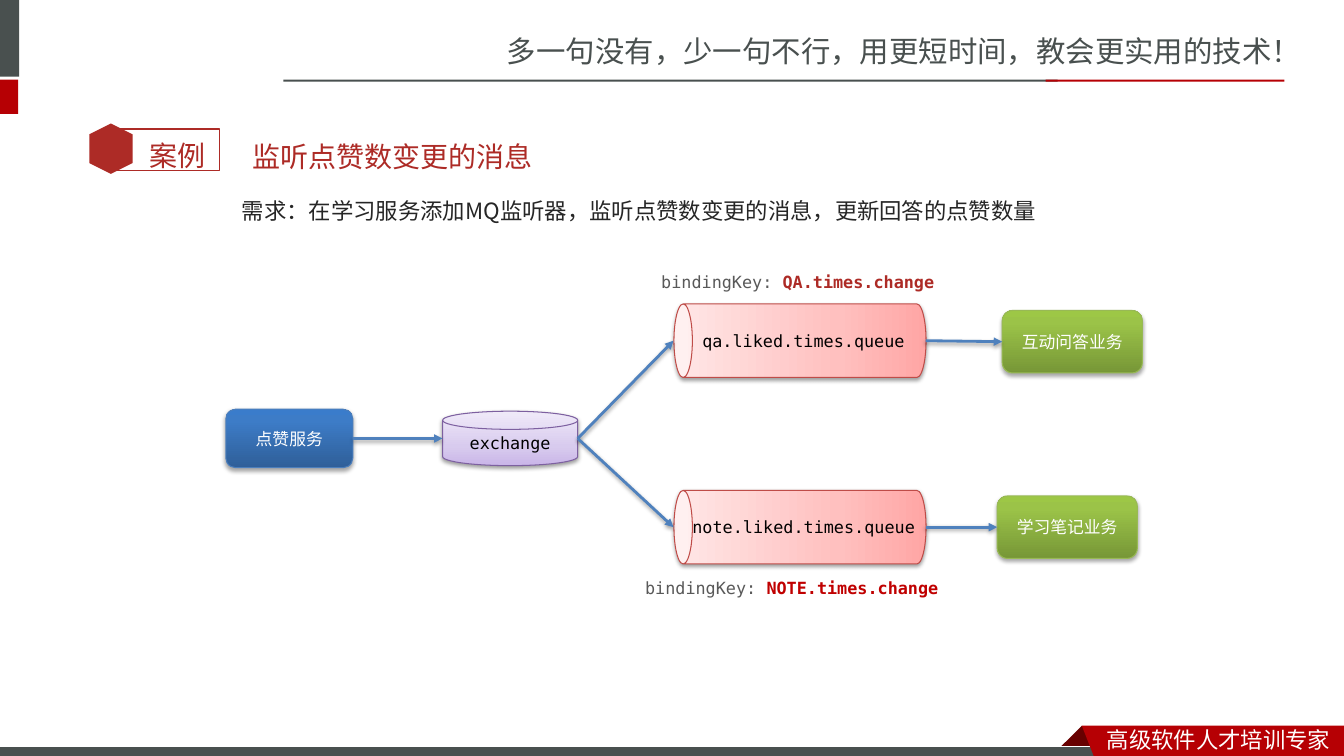
from lxml import etree
from pptx import Presentation
from pptx.dml.color import RGBColor
from pptx.enum.shapes import MSO_CONNECTOR, MSO_SHAPE
from pptx.enum.text import MSO_ANCHOR, MSO_AUTO_SIZE, PP_ALIGN
from pptx.oxml.ns import qn
from pptx.util import Inches, Pt

RECT, ROUNDED = MSO_SHAPE.RECTANGLE, MSO_SHAPE.ROUNDED_RECTANGLE
HEXAGON, CAN = MSO_SHAPE.HEXAGON, MSO_SHAPE.CAN
DISK = MSO_SHAPE.FLOWCHART_MAGNETIC_DISK
STRAIGHT = MSO_CONNECTOR.STRAIGHT
MIDDLE, TOP = MSO_ANCHOR.MIDDLE, MSO_ANCHOR.TOP
CENTER, LEFT = PP_ALIGN.CENTER, PP_ALIGN.LEFT
GROW, FIXED = MSO_AUTO_SIZE.SHAPE_TO_FIT_TEXT, MSO_AUTO_SIZE.NONE

WHITE = RGBColor(0xFF, 0xFF, 0xFF)
BLACK = RGBColor(0x00, 0x00, 0x00)
SLATE = RGBColor(0x49, 0x50, 0x4F)
CRIMSON = RGBColor(0xB6, 0x00, 0x04)
MAROON = RGBColor(0x68, 0x00, 0x00)
BRICK = RGBColor(0xAD, 0x2B, 0x26)
RED = RGBColor(0xC0, 0x00, 0x00)
INK = RGBColor(0x26, 0x26, 0x26)
GRAY = RGBColor(0x59, 0x59, 0x59)
ARROW_BLUE = RGBColor(0x4F, 0x81, 0xBD)

CJK, CJK_JP = "Noto Sans CJK SC", "Noto Sans CJK JP"
MONO = "DejaVu Sans Mono"

# Node styles: gradient stops, outline, text colour, shadow (opacity %, distance pt)
BUTTON_SHADOW, SOFT_SHADOW = (35, 1.8), (38, 1.6)
BLUE_NODE = (((0, "2F5F99"), (80, "3D7CC7"), (100, "3A7CCB")),
             RGBColor(0x4B, 0x7E, 0xBC), WHITE, BUTTON_SHADOW)
GREEN_NODE = (((0, "779737"), (80, "9BC348"), (100, "9DC746")),
              RGBColor(0x98, 0xB9, 0x55), WHITE, BUTTON_SHADOW)
PINK_NODE = (((0, "FFA6A5"), (35, "FFC0BF"), (100, "FFE7E7")),
             RGBColor(0xBF, 0x4C, 0x48), BLACK, SOFT_SHADOW)
PURPLE_NODE = (((0, "C9B5E8"), (35, "D8CBEE"), (100, "F0EAF9")),
               RGBColor(0x7D, 0x60, 0xA0), BLACK, SOFT_SHADOW)


def inches(values):
    return [Inches(value) for value in values]


def apply_format(target, values):
    for name, value in values.items():
        setattr(target, name, value)


def add_node(parent, tag, **attributes):
    return etree.SubElement(parent, qn(tag), attributes)


def add_color(parent, color):
    return add_node(parent, "a:srgbClr", val=str(color))


class Slide:
    def __init__(self, deck):
        self.page = deck.slides.add_slide(deck.slide_layouts[5])
        self.shapes = self.page.shapes

    def set_text(self, box, spans, frame=None, para=None):
        """Fill a shape with one paragraph; spans are (text, size, font, colour, bold)."""
        text_frame = box.text_frame
        apply_format(text_frame, {"word_wrap": True, **(frame or {})})
        paragraph = text_frame.paragraphs[0]
        apply_format(paragraph, {"alignment": LEFT, **(para or {})})
        for text, size, font, color, bold in spans:
            span = paragraph.add_run()
            span.text = text
            apply_format(span.font, {"size": Pt(size), "name": font, "bold": bold})
            span.font.color.rgb = color
        east_asian = CJK_JP if font == CJK_JP else CJK
        for properties in box.element.iter(qn("a:rPr")):
            add_node(properties, "a:ea", typeface=east_asian)

    def title(self, at, spans, frame, para):
        box = self.shapes.title
        box.left, box.top, box.width, box.height = inches(at)
        self.set_text(box, spans, frame, para)

    def text(self, at, spans, frame=None, para=None):
        box = self.shapes.add_textbox(*inches(at))
        self.set_text(box, spans, {"auto_size": GROW, "vertical_anchor": TOP,
                                   **(frame or {})}, para)

    def paint(self, shape, fill=None, line=None, width=0.75):
        shape.shadow.inherit = False
        if fill is None:
            shape.fill.background()
        else:
            shape.fill.solid()
            shape.fill.fore_color.rgb = fill
        if line is None:
            shape.line.fill.background()
        else:
            shape.line.color.rgb = line
            shape.line.width = Pt(width)

    def shape(self, kind, at, fill=None, line=None, width=0.75, rotation=0):
        shape = self.shapes.add_shape(kind, *inches(at))
        shape.rotation = rotation
        self.paint(shape, fill, line, width)
        return shape

    def polygon(self, points, fill):
        corners = [inches(point) for point in points]
        builder = self.shapes.build_freeform(*corners[0], scale=1.0)
        builder.add_line_segments(corners[1:], close=True)
        self.paint(builder.convert_to_shape(), fill)

    def cast_shadow(self, effects, opacity, distance):
        shadow = add_node(effects, "a:outerShdw", blurRad=str(Pt(3.1)),
                          dist=str(Pt(distance)), dir="5400000", rotWithShape="0")
        add_node(add_color(shadow, BLACK), "a:alpha", val=str(opacity * 1000))

    def node(self, kind, at, label, style, rotation=0, frame=None):
        """Draw a labelled diagram node with a gradient and a drop shadow."""
        stops, outline, text_color, shadow = style
        shape = self.shape(kind, at, line=outline, rotation=rotation)
        shape.fill.gradient()
        shape.fill.gradient_angle = 90
        stop_list = shape.element.find(".//" + qn("a:gsLst"))
        stop_list.clear()
        for position, color in stops:
            add_color(add_node(stop_list, "a:gs", pos=str(position * 1000)), color)
        self.cast_shadow(shape.element.find(".//" + qn("a:effectLst")), *shadow)
        self.set_text(shape, [(label, 12, MONO, text_color, False)],
                      {"vertical_anchor": MIDDLE, **(frame or {})}, {"alignment": CENTER})
        return shape

    def queue(self, at, label, frame=None):
        can = self.node(CAN, at, label, PINK_NODE, 270, frame)
        can.element.find(".//" + qn("a:bodyPr")).set("vert", "eaVert")

    def arrow(self, start, end):
        line = self.shapes.add_connector(STRAIGHT, *inches(start + end))
        line.line.color.rgb = ARROW_BLUE
        line.line.width = Pt(2)
        properties = line.element.find(qn("p:spPr"))
        add_node(properties.find(qn("a:ln")), "a:tailEnd", type="triangle")
        self.cast_shadow(add_node(properties, "a:effectLst"), *SOFT_SHADOW)

    def binding_key(self, at, key, color):
        self.text(at, [("bindingKey: ", 12, MONO, GRAY, False),
                       (key, 12, MONO, color, True)], {"word_wrap": False})


def draw_frame(slide):
    slide.text((4.93, 0.28, 8.41, 0.47),
               [("多一句没有，少一句不行，用更短时间，教会更实用的技术！", 21, CJK, SLATE, False)])
    for at, color in (((-0.06, 0, 0.25, 0.76), SLATE),
                      ((-0.06, 0.79, 0.24, 0.34), CRIMSON),
                      ((2.81, 0.79, 7.68, 0.02), SLATE),
                      ((10.37, 0.79, 2.37, 0.02), CRIMSON)):
        slide.shape(RECT, at, color)
    slide.polygon([(10.73, 7.2), (10.95, 7.42), (10.94, 7.43),
                   (10.52, 7.43), (10.51, 7.42)], MAROON)
    slide.shape(RECT, (-0.01, 7.41, 11, 0.12), SLATE, WHITE)
    slide.polygon([(10.73, 7.2), (13.33, 7.2), (13.33, 7.54), (10.86, 7.53)], CRIMSON)
    slide.text((10.88, 7.15, 2.45, 0.37),
               [("高级软件人才培训专家", 16, CJK, WHITE, False)])


def draw_heading(slide):
    slide.shape(RECT, (1.09, 1.28, 1.09, 0.41), line=BRICK, width=1)
    slide.shape(HEXAGON, (0.85, 1.26, 0.5, 0.43), BRICK, rotation=90)
    slide.text((1.38, 1.16, 0.85, 0.56), [("案例", 20, "Lato", BRICK, False)],
               para={"line_spacing": 1.5})
    slide.title((2.4, 1.03, 6.53, 0.7),
                [("监听点赞数变更的消息", 20, "Calibri", BRICK, False)],
                {"vertical_anchor": MIDDLE, "auto_size": FIXED},
                {"line_spacing": 2.0, "space_before": Pt(4)})
    slide.text((2.4, 1.77, 10.08, 0.71),
               [("需求：在学习服务添加MQ监听器，监听点赞数变更的消息，更新回答的点赞数量",
                 16, CJK_JP, INK, False)],
               {"auto_size": FIXED, "margin_left": 0, "margin_right": 0},
               {"line_spacing": 1.5, "space_before": Pt(3.2)})


def draw_diagram(slide):
    sides = ("left", "top", "right", "bottom")
    no_margins = {f"margin_{side}": 0 for side in sides}
    slide.node(ROUNDED, (2.24, 4.06, 1.26, 0.58), "点赞服务", BLUE_NODE)
    slide.node(DISK, (4.39, 4.08, 1.34, 0.54), "exchange", PURPLE_NODE)
    slide.arrow((3.5, 4.35), (4.39, 4.35))
    branches = (
        (2.13, "qa.liked.times.queue", None, 9.94, 3.08, "互动问答业务"),
        (3.98, "note.liked.times.queue", no_margins, 9.89, 4.92, "学习笔记业务"),
    )
    for queue_top, queue_name, frame, left, top, service in branches:
        middle = queue_top + 1.25
        slide.queue((7.57, queue_top, 0.73, 2.5), queue_name, frame)
        slide.node(ROUNDED, (left, top, 1.39, 0.62), service, GREEN_NODE)
        slide.arrow((5.73, 4.35), (6.68, middle))
        slide.arrow((9.18, middle), (left, top + 0.31))
    slide.binding_key((6.46, 2.65, 2.95, 0.3), "QA.times.change", BRICK)
    slide.binding_key((6.3, 5.68, 3.15, 0.3), "NOTE.times.change", RED)


def main():
    deck = Presentation()
    deck.slide_width, deck.slide_height = inches((13.33, 7.5))
    slide = Slide(deck)
    draw_frame(slide)
    draw_heading(slide)
    draw_diagram(slide)
    deck.save("out.pptx")


if __name__ == "__main__":
    main()
